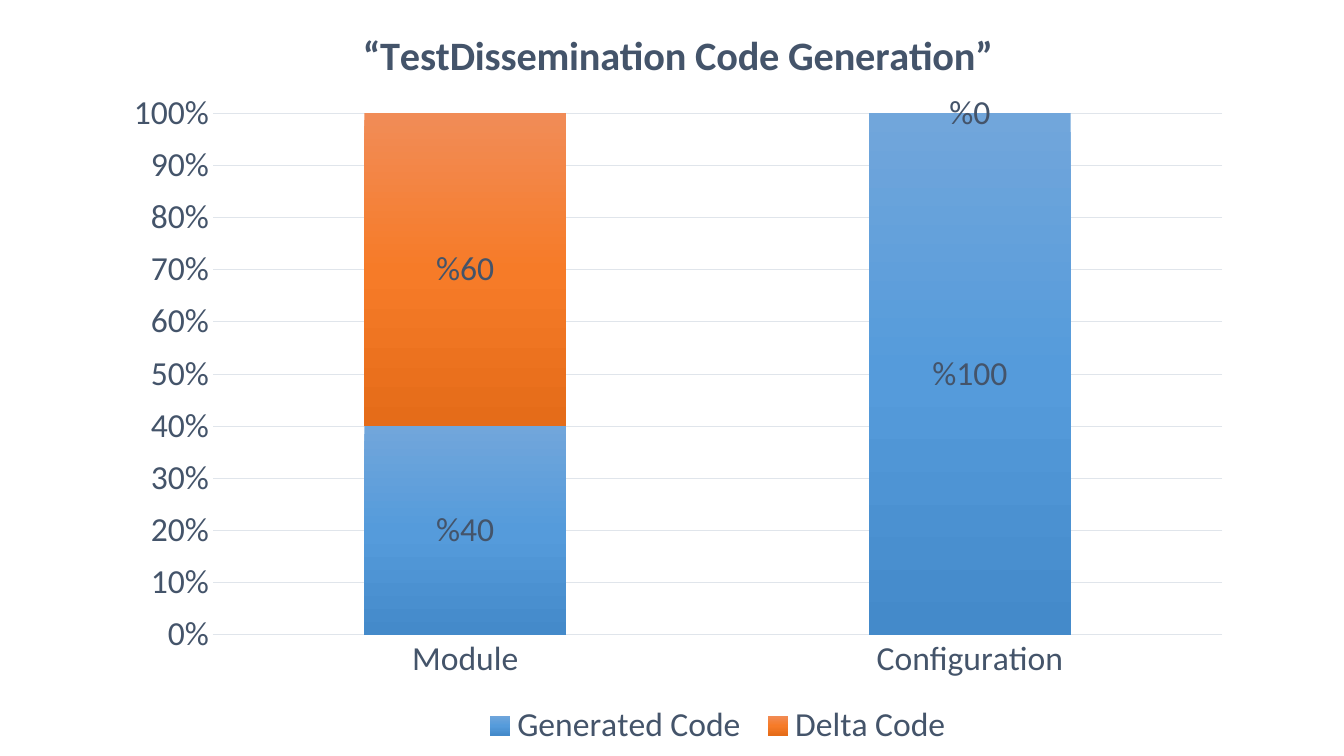
from copy import deepcopy
from lxml import etree
from pptx import Presentation
from pptx.chart.data import CategoryChartData
from pptx.dml.color import RGBColor as RGB
from pptx.enum.chart import XL_CHART_TYPE as Kind, XL_LABEL_POSITION as Spot
from pptx.enum.chart import XL_LEGEND_POSITION as Side, XL_TICK_MARK as Tick
from pptx.oxml.ns import qn
from pptx.util import Pt

COLORS = {"text": "44546A", "grid": "E0E5EB"}
FADES = {
    "Generated Code": ["71A6DB", "559BDB", "448ACA"],
    "Delta Code": ["F18C57", "F67B28", "E56C19"],
}
SHARES = {"Generated Code": [0.4, 1], "Delta Code": [0.6, 0]}


def style(font, size=24, bold=False):
    font.name = "Calibri"
    font.size = Pt(size)
    font.bold = bold
    font.color.rgb = RGB.from_string(COLORS["text"])


def place(part, inner=False, **box):
    """Set a manual layout, in shares of the chart's size."""
    for old in part.findall(qn("c:layout")):
        part.remove(old)
    layout = etree.Element(qn("c:layout"))
    manual = etree.SubElement(layout, qn("c:manualLayout"))
    rules = {"layoutTarget": "inner"} if inner else {}
    rules.update(xMode="edge", yMode="edge", **box)
    for name, val in rules.items():
        etree.SubElement(manual, qn("c:" + name)).set("val", str(val))
    # The layout follows the legend position, or comes first in the plot area
    part.insert(0 if inner else 1, layout)


prs = Presentation()
prs.slide_width, prs.slide_height = Pt(960), Pt(540)
slide = prs.slides.add_slide(prs.slide_layouts[6])

# Chart data
data = CategoryChartData(number_format="%0")
data.categories = ["Module", "Configuration"]
for name, vals in SHARES.items():
    data.add_series(name, vals)
frame = slide.shapes.add_chart(
    Kind.COLUMN_STACKED_100, Pt(79.2), 0, Pt(810), Pt(540), data)
chart = frame.chart
style(chart.font)

# Title
chart.has_title = True
title = chart.chart_title
title.include_in_layout = False
run = title.text_frame.paragraphs[0].add_run()
run.text = "“TestDissemination Code Generation”"
style(run.font, 28.8, True)

# Axes
cats, vals = chart.category_axis, chart.value_axis
for axis in (cats, vals):
    axis.major_tick_mark = axis.minor_tick_mark = Tick.NONE
    style(axis.tick_labels.font)
vals.minimum_scale, vals.maximum_scale, vals.major_unit = 0, 1, 0.1
vals.tick_labels.number_format = "0%"
vals.tick_labels.number_format_is_linked = False
vals.format.line.fill.background()
vals.has_major_gridlines = True
for line in (cats.format.line, vals.major_gridlines.format.line):
    line.color.rgb = RGB.from_string(COLORS["grid"])
    line.width = Pt(0.75)

# Columns with three-stop gradients and labels
plot = chart.plots[0]
plot.gap_width, plot.overlap = 150, 100
plot.vary_by_categories = False
for bar in plot.series:
    fill = bar.format.fill
    fill.gradient()
    fill.gradient_angle = 270
    stops = bar._element.find(".//" + qn("a:gsLst"))
    stops.insert(1, deepcopy(stops[0]))
    for i, (stop, color) in enumerate(zip(fill.gradient_stops, FADES[bar.name])):
        stop.position = i / 2
        stop.color.rgb = RGB.from_string(color)
    labels = bar.data_labels
    labels.show_value = True
    labels.position = Spot.CENTER
    labels.number_format = "%0"
    labels.number_format_is_linked = False
    style(labels.font)

# Legend and layout
chart.has_legend = True
legend = chart.legend
legend.position = Side.BOTTOM
legend.include_in_layout = False
style(legend.font)
place(legend._element, x=0.32, y=0.92, w=0.43, h=0.08)
area = chart._chartSpace.find(".//" + qn("c:plotArea"))
place(area, inner=True, x=0.09, y=0.15, w=0.89, h=0.69)

prs.save("out.pptx")
